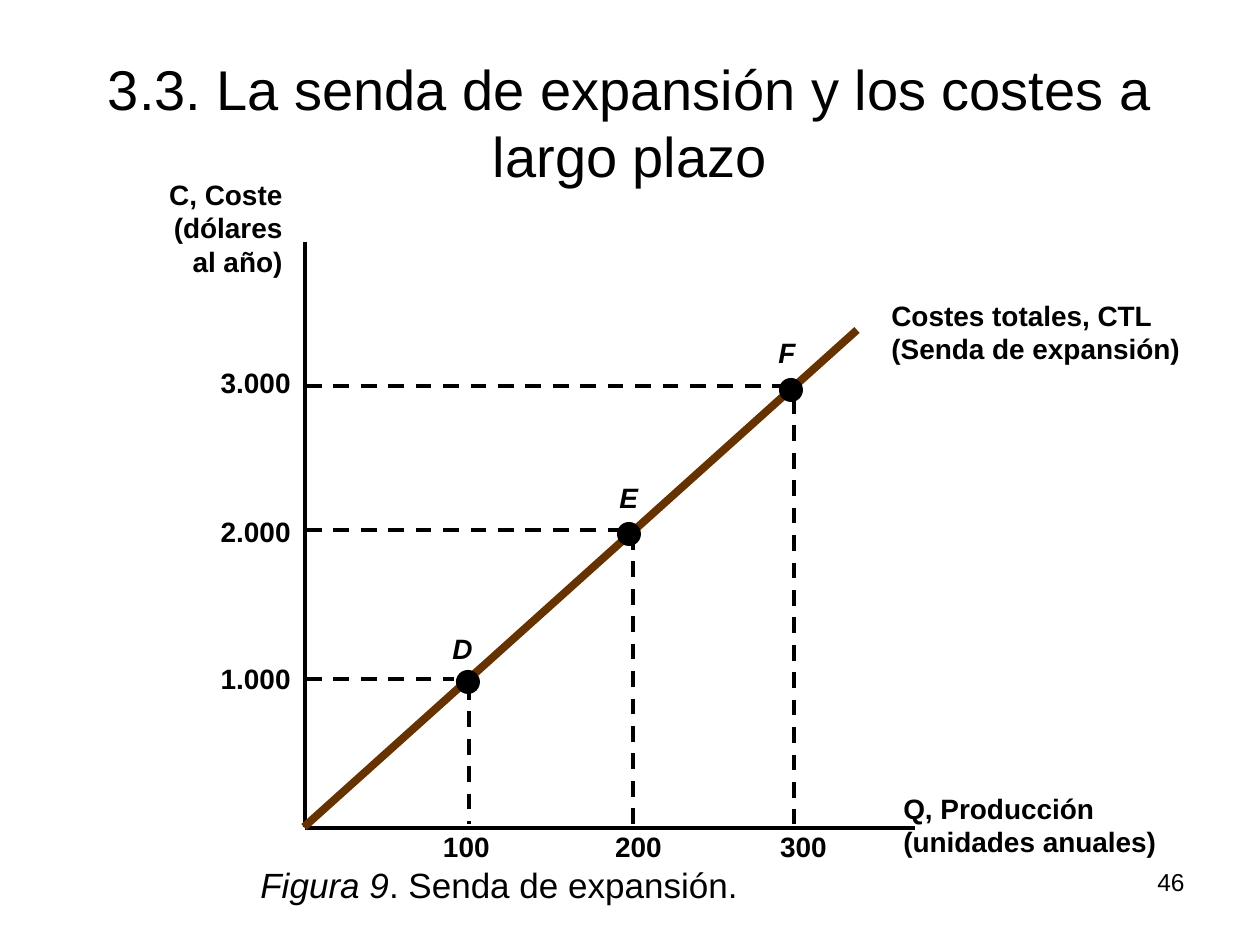
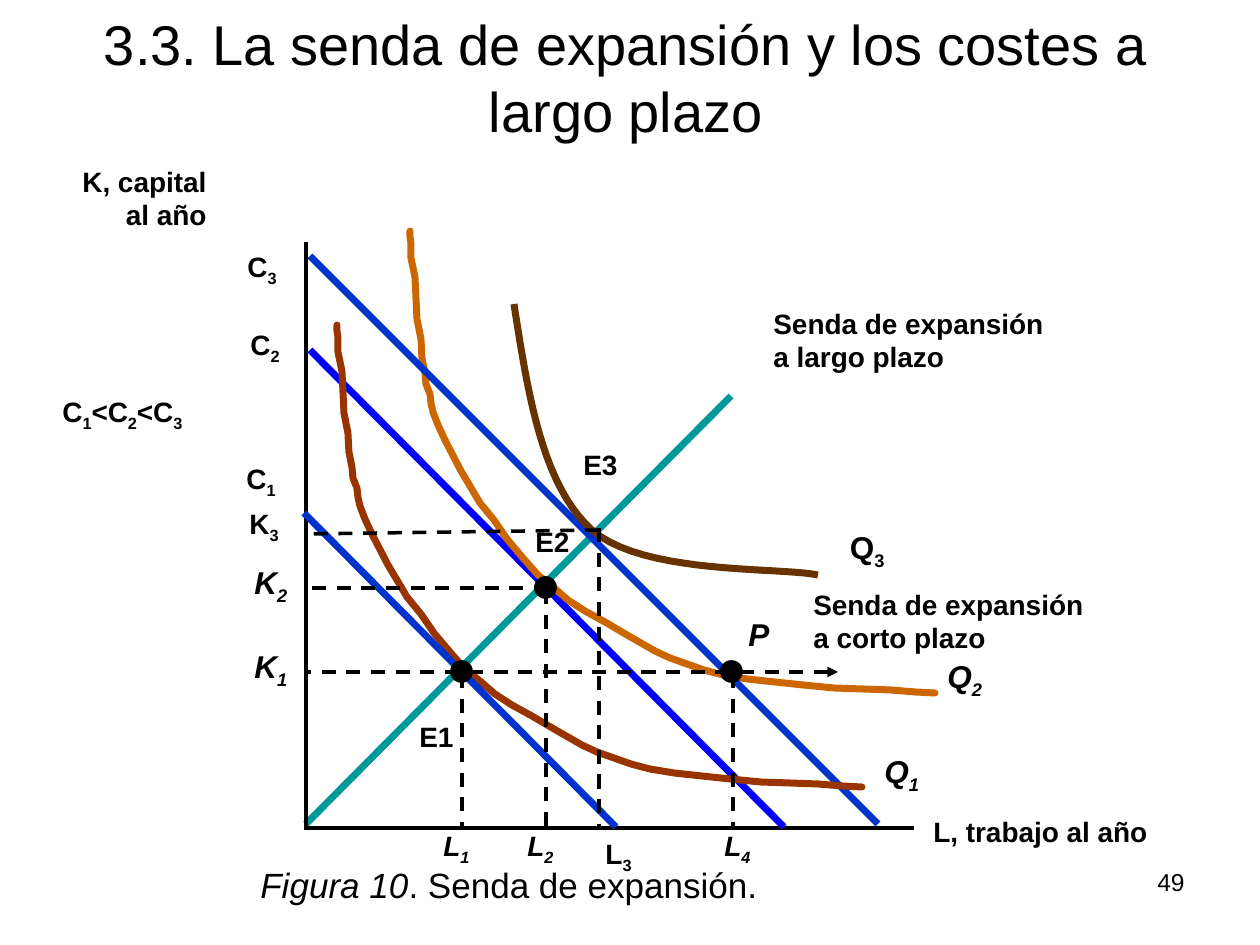
"""Builds two slides on the expansion path and long-run costs."""
from dataclasses import dataclass
from typing import Optional

from lxml.etree import SubElement
from pptx import Presentation
from pptx.dml.color import RGBColor
from pptx.enum.dml import MSO_LINE
from pptx.enum.shapes import MSO_CONNECTOR, MSO_SHAPE
from pptx.enum.text import MSO_ANCHOR, MSO_AUTO_SIZE, PP_ALIGN
from pptx.oxml.ns import qn
from pptx.util import Emu, Pt

SCALE = 914400 / 126
FONT = "Arial"
BLACK = "000000"
BROWN = "663300"
BLUE = "0033CC"
TITLE = "3.3. La senda de expansión y los costes a largo plazo"
TITLE_ONLY = 5
LEFT, CENTER, RIGHT = PP_ALIGN.LEFT, PP_ALIGN.CENTER, PP_ALIGN.RIGHT
Coordinate = tuple[float, float]


@dataclass
class Label:
    left: int
    top: int
    width: int
    height: int
    text: str
    size: int = 16
    bold: bool = True
    italic: bool = False
    align: PP_ALIGN = LEFT


@dataclass
class Stroke:
    start: Coordinate
    end: Coordinate
    color: str = BLACK
    width: float = 2
    dashed: bool = False
    arrow_at_start: bool = False


@dataclass
class CostPoint:
    name: str
    quantity: str
    cost: str
    dot: Coordinate
    name_at: Coordinate
    guide_x: int
    guide_y: int
    guide_top: int
    guide_right: int
    quantity_right: int
    cost_top: int


COST_POINTS = [
    CostPoint("D", "100", "1.000", (456, 670), (440, 625), 469, 679, 684, 454, 502, 655),
    CostPoint("E", "200", "2.000", (617, 522), (607, 474), 633, 530, 534, 624, 674, 508),
    CostPoint("F", "300", "3.000", (779, 378), (766, 329), 794, 386, 398, 791, 839, 359),
]

ISOQUANT = [
    (410, 231), (410, 237), (411, 243), (411, 258), (415, 277), (416, 297),
    (417, 319), (421, 339), (422, 358), (425, 373), (426, 384), (430, 394),
    (431, 403), (433, 412), (438, 425), (445, 440), (461, 471), (470, 486),
    (480, 503), (494, 520), (507, 539), (523, 558), (538, 575), (553, 587),
    (568, 600), (585, 611), (605, 622), (627, 635), (655, 651), (670, 658),
    (687, 664), (704, 670), (723, 675), (747, 679), (775, 682), (803, 685),
    (834, 688), (863, 689), (891, 690), (915, 692), (935, 693),
]
ISOQUANT_SHIFT = (-73, 94)
TOP_ISOQUANT = [
    ((514, 304), (528, 394), (542, 485), (592, 530)),
    ((592, 530), (643, 575), (780, 567), (818, 575)),
]

EXPANSION_GUIDES = [
    Stroke((548, 588), (304, 588), dashed=True),
    Stroke((546, 590), (546, 828), dashed=True),
    Stroke((462, 674), (462, 828), dashed=True),
    Stroke((459, 672), (304, 672), dashed=True),
    Stroke((733, 674), (733, 828), dashed=True),
    Stroke((838, 672), (462, 672), dashed=True, arrow_at_start=True),
    Stroke((599, 528), (599, 830), dashed=True),
    Stroke((599, 530), (306, 534), dashed=True),
]

EXPANSION_LABELS = [
    Label(761, 300, 295, 79, "Senda de expansión\na largo plazo"),
    Label(801, 581, 304, 79, "Senda de expansión\na corto plazo"),
    Label(921, 808, 239, 45, "L, trabajo al año"),
    Label(69, 158, 150, 79, "K, capital\nal año", align=RIGHT),
    Label(50, 388, 150, 45, "C_1<C_2<C_3"),
    Label(233, 455, 55, 45, "C_1", align=RIGHT),
    Label(237, 321, 55, 45, "C_2", align=RIGHT),
    Label(234, 243, 55, 45, "C_3", align=RIGHT),
    Label(242, 641, 59, 50, "K_1", 18, italic=True),
    Label(242, 557, 59, 50, "K_2", 18, italic=True),
    Label(236, 500, 55, 45, "K_3", align=RIGHT),
    Label(431, 822, 53, 45, "L_1", italic=True),
    Label(515, 822, 53, 45, "L_2", italic=True),
    Label(591, 830, 53, 45, "L_3", align=RIGHT),
    Label(712, 822, 53, 45, "L_4", italic=True),
    Label(872, 746, 60, 50, "Q_1", 18, italic=True),
    Label(935, 651, 60, 50, "Q_2", 18, italic=True),
    Label(837, 522, 60, 50, "Q_3", 18, align=RIGHT),
    Label(407, 713, 59, 45, "E1", align=RIGHT),
    Label(523, 518, 59, 45, "E2", align=RIGHT),
    Label(571, 441, 59, 45, "E3", align=RIGHT),
    Label(736, 609, 45, 50, "P", 18, italic=True),
]


def px(length: float) -> Emu:
    """Turn pixels into EMU."""
    return Emu(round(length * SCALE))


def rgb(color: str) -> RGBColor:
    """Turn a hex string into a colour."""
    return RGBColor.from_string(color)


def add_run(paragraph, text: str, size: int, bold: bool = False,
            italic: bool = False, subscript: bool = False) -> None:
    """Add one formatted run to a paragraph."""
    run = paragraph.add_run()
    run.text = text
    font = run.font
    font.name, font.size, font.bold, font.italic = FONT, Pt(size), bold, italic
    font.color.rgb = rgb(BLACK)
    if subscript:
        run._r.get_or_add_rPr().set("baseline", "-25000")


def add_text_box(slide, left: int, top: int, width: int, height: int):
    """Add an empty text box and return its text frame."""
    box = slide.shapes.add_textbox(px(left), px(top), px(width), px(height))
    return box.text_frame


def draw_label(slide, label: Label) -> None:
    """Draw a label in which an underscore lowers the next character."""
    frame = add_text_box(slide, label.left, label.top, label.width, label.height)
    frame.word_wrap = False
    for index, line in enumerate(label.text.split("\n")):
        paragraph = frame.add_paragraph() if index else frame.paragraphs[0]
        paragraph.alignment = label.align
        plain, *lowered = line.split("_")
        add_run(paragraph, plain, label.size, label.bold, label.italic)
        for part in lowered:
            add_run(paragraph, part[0], label.size, label.bold, label.italic, True)
            if part[1:]:
                add_run(paragraph, part[1:], label.size, label.bold, label.italic)


def draw_stroke(slide, stroke: Stroke) -> None:
    """Draw a straight line, dashed or with an arrowhead if asked."""
    connector = slide.shapes.add_connector(
        MSO_CONNECTOR.STRAIGHT, *map(px, stroke.start + stroke.end))
    line = connector.line
    line.color.rgb = rgb(stroke.color)
    line.width = Pt(stroke.width)
    if stroke.dashed:
        line.dash_style = MSO_LINE.DASH
    if stroke.arrow_at_start:
        SubElement(line._get_or_add_ln(), qn("a:headEnd"), type="triangle")
    SubElement(connector._element.spPr, qn("a:effectLst"))


def draw_curve(slide, points: list[Coordinate], color: str, rounded: bool) -> None:
    """Draw an open curve through the points."""
    start, *rest = [(px(x), px(y)) for x, y in points]
    builder = slide.shapes.build_freeform(*start, scale=1.0)
    builder.add_line_segments(rest, close=False)
    curve = builder.convert_to_shape()
    curve.shadow.inherit = False
    curve.fill.background()
    curve.line.color.rgb = rgb(color)
    curve.line.width = Pt(4)
    if rounded:
        curve.line._get_or_add_ln().set("cap", "rnd")


def draw_dot(slide, left: float, top: float, size: int,
             outline: Optional[float] = None) -> None:
    """Draw a black dot."""
    dot = slide.shapes.add_shape(MSO_SHAPE.OVAL, px(left), px(top), px(size), px(size))
    dot.shadow.inherit = False
    dot.fill.solid()
    dot.fill.fore_color.rgb = rgb(BLACK)
    if outline:
        dot.line.color.rgb = rgb(BLACK)
        dot.line.width = Pt(outline)
    else:
        dot.line.fill.background()


def sample_bezier(a: Coordinate, b: Coordinate, c: Coordinate, d: Coordinate,
                  steps: int = 20) -> list[Coordinate]:
    """Return points along a cubic Bezier segment."""
    points = []
    for step in range(steps + 1):
        t = step / steps
        weights = ((1 - t) ** 3, 3 * t * (1 - t) ** 2, 3 * t * t * (1 - t), t ** 3)
        points.append(tuple(sum(w * p[axis] for w, p in zip(weights, (a, b, c, d)))
                            for axis in (0, 1)))
    return points


def add_figure_slide(presentation, title_box: tuple[int, int, int, int],
                     figure: int, page: int):
    """Add a slide with its title, caption and page number."""
    slide = presentation.slides.add_slide(presentation.slide_layouts[TITLE_ONLY])
    title = slide.shapes.title
    title.left, title.top, title.width, title.height = map(px, title_box)
    frame = title.text_frame
    frame.word_wrap = True
    frame.auto_size = MSO_AUTO_SIZE.NONE
    frame.vertical_anchor = MSO_ANCHOR.BOTTOM
    frame.paragraphs[0].alignment = CENTER
    add_run(frame.paragraphs[0], TITLE, 32)
    caption = add_text_box(slide, 248, 857, 572, 66)
    caption.word_wrap = True
    add_run(caption.paragraphs[0], f"Figura {figure}", 20, italic=True)
    add_run(caption.paragraphs[0], ". Senda de expansión.", 20)
    draw_label(slide, Label(903, 861, 294, 66, str(page), 14, False, align=RIGHT))
    return slide


def draw_axes(slide, x: int, left: int, right: int) -> None:
    """Draw the vertical and horizontal axes."""
    draw_stroke(slide, Stroke((x, 242), (x, 827)))
    draw_stroke(slide, Stroke((left, 828), (right, 828)))


def build_cost_slide(presentation) -> None:
    """Build the long-run total cost figure."""
    slide = add_figure_slide(presentation, (63, 38, 1134, 157), 9, 46)
    draw_axes(slide, 305, 305, 915)
    draw_stroke(slide, Stroke((304, 827), (857, 330), BROWN, 4.5))
    draw_label(slide, Label(891, 785, 302, 79, "Q, Producción\n(unidades anuales)"))
    draw_label(slide, Label(154, 171, 141, 113, "C, Coste\n(dólares \nal año)", align=RIGHT))
    draw_label(slide, Label(879, 292, 314, 79, "Costes totales, CTL\n(Senda de expansión)"))
    for point in COST_POINTS:
        draw_stroke(slide, Stroke((306, point.guide_y), (point.guide_right, point.guide_y),
                                  width=2.25, dashed=True))
        draw_stroke(slide, Stroke((point.guide_x, point.guide_top), (point.guide_x, 824),
                                  width=2.25, dashed=True))
        draw_dot(slide, *point.dot, 24)
        draw_label(slide, Label(*point.name_at, 45, 47, point.name, italic=True))
        draw_label(slide, Label(205, point.cost_top, 98, 45, point.cost, align=RIGHT))
        draw_label(slide, Label(point.quantity_right - 84, 823, 84, 45,
                                point.quantity, align=RIGHT))


def build_expansion_slide(presentation) -> None:
    """Build the short-run and long-run expansion path figure."""
    slide = add_figure_slide(presentation, (76, 0, 1100, 150), 10, 49)
    shift_x, shift_y = ISOQUANT_SHIFT
    lower_isoquant = [(x + shift_x, y + shift_y) for x, y in ISOQUANT]
    upper_isoquant = [point for segment in TOP_ISOQUANT for point in sample_bezier(*segment)]
    draw_stroke(slide, Stroke((306, 824), (731, 396), "009999", 4))
    draw_axes(slide, 306, 304, 914)
    draw_stroke(slide, Stroke((310, 350), (784, 827), "0000FF", 4))
    draw_curve(slide, ISOQUANT, "CC6600", True)
    draw_stroke(slide, Stroke((310, 256), (878, 824), BLUE, 4))
    draw_curve(slide, lower_isoquant, "993300", True)
    draw_stroke(slide, Stroke((304, 513), (616, 827), BLUE, 4))
    draw_curve(slide, upper_isoquant, BROWN, False)
    for guide in EXPANSION_GUIDES:
        draw_stroke(slide, guide)
    for left, top in ((535, 577), (451, 661), (721, 661)):
        draw_dot(slide, left, top, 21, outline=1)
    for label in EXPANSION_LABELS:
        draw_label(slide, label)


def main() -> None:
    """Build and save the presentation."""
    presentation = Presentation()
    presentation.slide_width, presentation.slide_height = px(1260), px(945)
    build_cost_slide(presentation)
    build_expansion_slide(presentation)
    presentation.save("out.pptx")


main()
